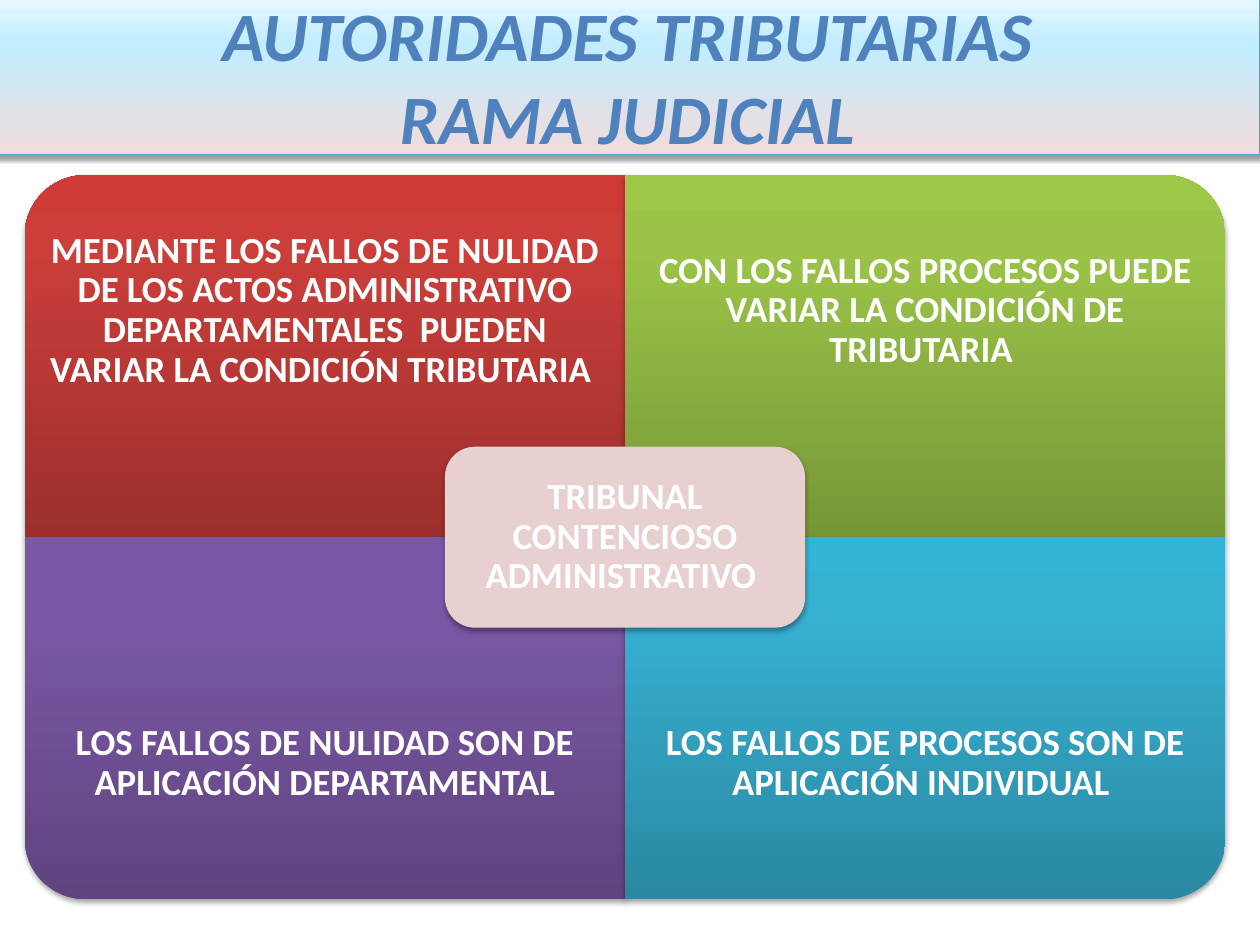
import pptx
import pptx.dml.color
import pptx.enum.shapes
import pptx.enum.text
import pptx.oxml
import pptx.oxml.ns
import pptx.util
from lxml import etree

Cm = pptx.util.Cm
Pt = pptx.util.Pt
SHAPES = pptx.enum.shapes.MSO_SHAPE
qn = pptx.oxml.ns.qn

COLORS = {
    "title": "4F81BD",
    "title line": "46AAC5",
    "text": "FFFFFF",
    "center": "E8D0D0",
    "shadow": "000000",
}
# Gradients run from bottom to top: {position in percent: colour}
GRADIENTS = {
    "title": {0: "F2DCDB", 70: "C1EDFF", 100: "E7F8FF"},
    "red": {0: "9C2F2D", 80: "CB3E3A", 100: "CE3B37"},
    "green": {0: "779737", 80: "9BC348", 100: "9DC746"},
    "purple": {0: "5F4480", 80: "7B58A6", 100: "7C57A8"},
    "blue": {0: "2A88A2", 80: "37B1D2", 100: "34B4D6"},
}
TITLE_FONT = {"name": "Calibri", "size": Pt(39.6), "bold": True, "italic": True}
BODY_FONT = {"name": "Calibri", "size": Pt(21), "bold": True}

MID_X, MID_Y = 12.6, 10.83
QUAD_W, QUAD_H = 12.1, 7.3
TEXT_H = QUAD_H * 0.75
CENTER_W, CENTER_H = QUAD_W * 0.6, QUAD_H / 2
CENTER_PAD = 0.18

# column, row, rotation, gradient, text
QUADRANTS = [
    (0, 0, 270, "red", "MEDIANTE LOS FALLOS DE NULIDAD DE LOS ACTOS ADMINISTRATIVO "
                       "DEPARTAMENTALES  PUEDEN VARIAR LA CONDICIÓN TRIBUTARIA "),
    (1, 0, 0, "green", "CON LOS FALLOS PROCESOS PUEDE VARIAR LA CONDICIÓN DE TRIBUTARIA "),
    (0, 1, 180, "purple", "LOS FALLOS DE NULIDAD SON DE APLICACIÓN DEPARTAMENTAL"),
    (1, 1, 90, "blue", "LOS FALLOS DE PROCESOS SON DE APLICACIÓN INDIVIDUAL "),
]


def rgb(hex_color):
    return pptx.dml.color.RGBColor.from_string(hex_color)


def apply_format(target, values):
    for name, value in values.items():
        setattr(target, name, value)


def add_color(parent, hex_color):
    return etree.SubElement(parent, qn("a:srgbClr"), val=hex_color)


def fill_gradient(shape, stops):
    """Fill upwards, whatever the rotation of the shape."""
    shape.fill.gradient()
    shape.fill.gradient_angle = 90
    gradient = shape._element.spPr.find(qn("a:gradFill"))
    gradient.set("rotWithShape", "0")
    stop_list = gradient.find(qn("a:gsLst"))
    for stop in list(stop_list):
        stop_list.remove(stop)
    for position, color in stops.items():
        stop = etree.SubElement(stop_list, qn("a:gs"), pos=str(position * 1000))
        add_color(stop, color)


def add_shadow(shape, distance, opacity):
    """Cast a soft shadow straight down."""
    shape.shadow.inherit = False
    effects = shape._element.spPr.find(qn("a:effectLst"))
    shadow = etree.SubElement(effects, qn("a:outerShdw"), blurRad=str(Pt(3.1)),
                              dist=str(Pt(distance)), dir="5400000", rotWithShape="0")
    color = add_color(shadow, COLORS["shadow"])
    etree.SubElement(color, qn("a:alpha"), val=str(opacity * 1000))


def add_panel(page, kind, left, top, width, height):
    panel = page.shapes.add_shape(kind, Cm(left), Cm(top), Cm(width), Cm(height))
    panel.line.fill.background()
    add_shadow(panel, 1.8, 35)
    return panel


def add_label(page, text, left, top, width, height, margin):
    box = page.shapes.add_textbox(Cm(left), Cm(top), Cm(width), Cm(height))
    frame = box.text_frame
    apply_format(frame, {
        "word_wrap": True,
        "vertical_anchor": pptx.enum.text.MSO_ANCHOR.MIDDLE,
        **{f"margin_{side}": Cm(margin) for side in ("left", "top", "right", "bottom")},
    })
    para = frame.paragraphs[0]
    apply_format(para, {"alignment": pptx.enum.text.PP_ALIGN.CENTER, "line_spacing": 0.9})
    span = para.add_run()
    span.text = text
    apply_format(span.font, BODY_FONT)
    span.font.color.rgb = rgb(COLORS["text"])


def add_title(page):
    title = page.shapes.title
    apply_format(title, {"left": Cm(-0.1), "top": Cm(-0.08),
                         "width": Cm(25.5), "height": Cm(3.2)})
    fill_gradient(title, GRADIENTS["title"])
    title.line.color.rgb = rgb(COLORS["title line"])
    title.line.width = Pt(0.75)
    add_shadow(title, 1.6, 38)
    frame = title.text_frame
    apply_format(frame, {"auto_size": pptx.enum.text.MSO_AUTO_SIZE.NONE,
                         "vertical_anchor": pptx.enum.text.MSO_ANCHOR.MIDDLE})
    para = frame.paragraphs[0]
    para.alignment = pptx.enum.text.PP_ALIGN.CENTER
    for index, line in enumerate(("AUTORIDADES TRIBUTARIAS", "RAMA JUDICIAL")):
        if index:
            para.add_line_break()
        span = para.add_run()
        span.text = line
        apply_format(span.font, TITLE_FONT)
        span.font.color.rgb = rgb(COLORS["title"])


def add_quadrant(page, column, row, rotation, gradient, text):
    left = MID_X + (column - 1) * QUAD_W
    top = MID_Y + (row - 1) * QUAD_H
    width, height = (QUAD_H, QUAD_W) if rotation % 180 else (QUAD_W, QUAD_H)
    panel = add_panel(page, SHAPES.ROUND_1_RECTANGLE, left + (QUAD_W - width) / 2,
                      top + (QUAD_H - height) / 2, width, height)
    panel.rotation = rotation
    fill_gradient(panel, GRADIENTS[gradient])
    add_label(page, text, left, top + row * (QUAD_H - TEXT_H), QUAD_W, TEXT_H, 0.41)


def add_center(page, text):
    left, top = MID_X - CENTER_W / 2, MID_Y - CENTER_H / 2
    panel = add_panel(page, SHAPES.ROUNDED_RECTANGLE, left, top, CENTER_W, CENTER_H)
    panel.fill.solid()
    panel.fill.fore_color.rgb = rgb(COLORS["center"])
    add_label(page, text, left + CENTER_PAD, top + CENTER_PAD,
              CENTER_W - 2 * CENTER_PAD, CENTER_H - 2 * CENTER_PAD, 0.23)


def main():
    deck = pptx.Presentation()
    deck.slide_width, deck.slide_height = Cm(25.4), Cm(19.05)
    page = deck.slides.add_slide(deck.slide_layouts.get_by_name("Title Only"))
    add_title(page)
    for quadrant in QUADRANTS:
        add_quadrant(page, *quadrant)
    add_center(page, "TRIBUNAL CONTENCIOSO ADMINISTRATIVO ")
    deck.save("out.pptx")


if __name__ == "__main__":
    main()
